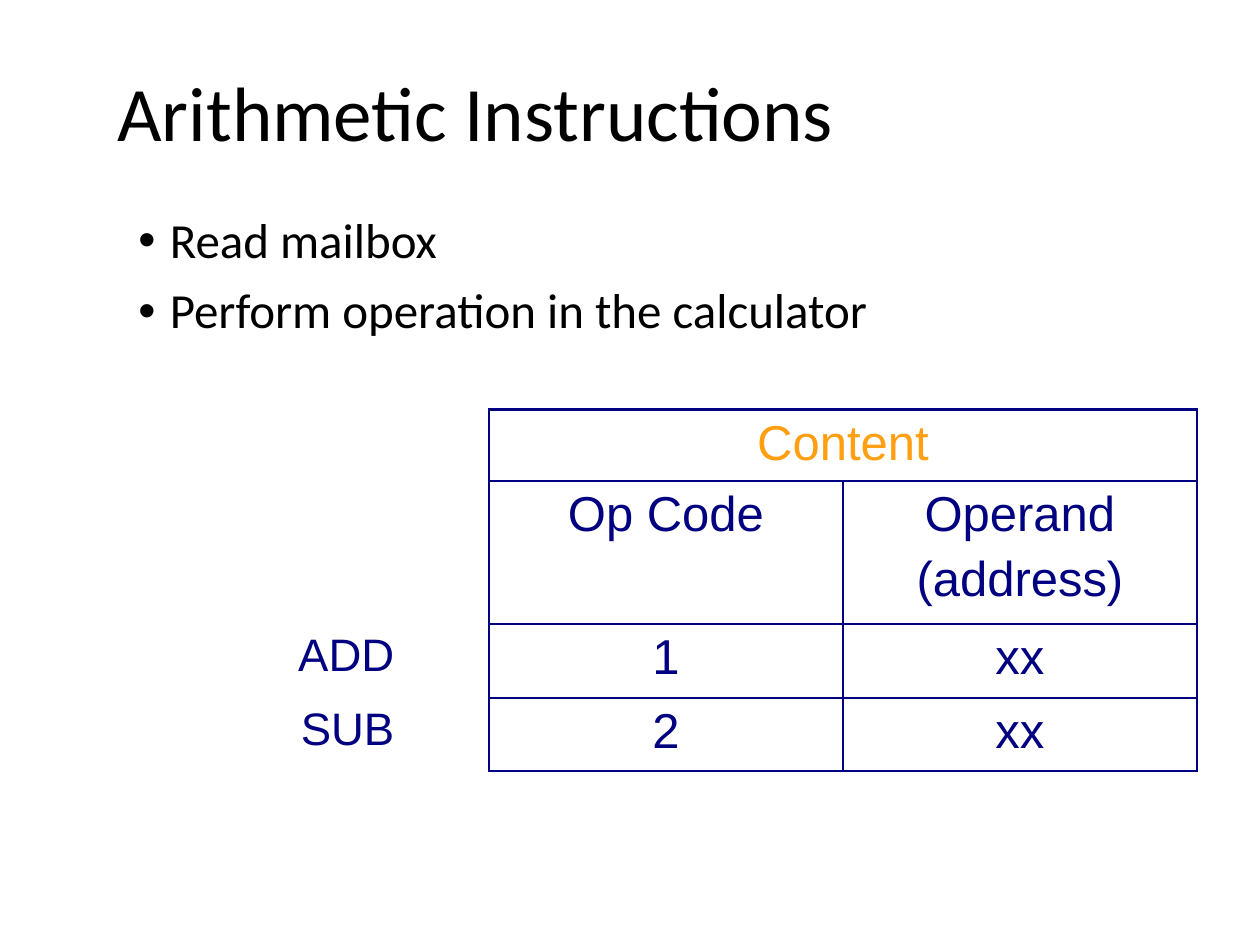
from lxml import etree
from pptx import Presentation
from pptx.dml.color import RGBColor
from pptx.enum.text import MSO_ANCHOR, PP_ALIGN
from pptx.oxml.ns import qn
from pptx.util import Pt

CENTER, RIGHT = PP_ALIGN.CENTER, PP_ALIGN.RIGHT
BLACK = RGBColor(0x00, 0x00, 0x00)
WHITE = RGBColor(0xFF, 0xFF, 0xFF)
NAVY = RGBColor(0x00, 0x00, 0x80)
ORANGE = RGBColor(0xFF, 0x9F, 0x11)

COLUMN_WIDTHS = (160.6, 46.8, 202.3, 202.3)
ROW_HEIGHTS = (41, 81.4, 42.5, 41.8)
ROWS = (
    ("", "", "Content", ""),
    ("", "", "Op Code", "Operand\n(address)"),
    ("ADD", "", "1", "xx"),
    ("SUB", "", "2", "xx"),
)


def style_runs(para, font, size, color):
    for span in para.runs:
        span.font.name = font
        span.font.size = Pt(size)
        span.font.color.rgb = color


def add_text(page, left, top, width, height, text, size):
    box = page.shapes.add_textbox(Pt(left), Pt(top), Pt(width), Pt(height))
    frame = box.text_frame
    frame.word_wrap = True
    frame.text = text
    for para in frame.paragraphs:
        para.line_spacing = 0.9
        style_runs(para, "Calibri", size, BLACK)
    return frame


def add_title(page, left, top, width, height):
    frame = add_text(page, left, top, width, height, "Arithmetic Instructions", 44)
    frame.vertical_anchor = MSO_ANCHOR.MIDDLE


def add_bullets(page, left, top, width, height):
    text = "Read mailbox\nPerform operation in the calculator"
    frame = add_text(page, left, top, width, height, text, 28)
    for para in frame.paragraphs:
        para.space_before = Pt(10)
        properties = para._p.get_or_add_pPr()
        properties.set("marL", str(Pt(18)))
        properties.set("indent", str(-Pt(18)))
        etree.SubElement(properties, qn("a:buFont")).set("typeface", "Arial")
        etree.SubElement(properties, qn("a:buChar")).set("char", "•")


def set_border(cell, side, color, width):
    """Draw one side of a cell; side is L, R, T or B."""
    line = etree.SubElement(cell._tc.get_or_add_tcPr(), qn(f"a:ln{side}"), w=str(Pt(width)))
    fill = etree.SubElement(line, qn("a:solidFill"))
    etree.SubElement(fill, qn("a:srgbClr")).set("val", str(color))


def fill_cell(cell, text, size, color, alignment):
    cell.text = text
    for para in cell.text_frame.paragraphs:
        para.alignment = alignment
        para.space_before = Pt(0.2 * size)
        style_runs(para, "Arial", size, color)


def add_instruction_table(page, left, top, width, height):
    frame = page.shapes.add_table(
        len(ROWS), len(COLUMN_WIDTHS), Pt(left), Pt(top), Pt(width), Pt(height))
    table = frame.table
    table.first_row = table.horz_banding = False
    for column, column_width in zip(table.columns, COLUMN_WIDTHS):
        column.width = Pt(column_width)
    for row, row_height in zip(table.rows, ROW_HEIGHTS):
        row.height = Pt(row_height)

    for r, texts in enumerate(ROWS):
        for c, text in enumerate(texts):
            cell = table.cell(r, c)
            is_label = c < 2
            for side in "LRTB":
                if is_label and (c, side) != (1, "R"):
                    set_border(cell, side, WHITE, 1)
                else:
                    set_border(cell, side, NAVY, 1.5)
            cell.fill.background()
            if text:
                fill_cell(cell, text, 26 if is_label else 28,
                          ORANGE if r == 0 else NAVY,
                          RIGHT if is_label else CENTER)
    table.cell(0, 2).merge(table.cell(0, 3))


def main():
    deck = Presentation()
    deck.slide_width, deck.slide_height = Pt(720), Pt(540)
    page = deck.slides.add_slide(deck.slide_layouts[6])
    add_title(page, 60, 21.6, 624, 90)
    add_bullets(page, 72, 120, 612, 120)
    add_instruction_table(page, 72, 234, 612, 205.9)
    deck.save("out.pptx")


if __name__ == "__main__":
    main()
